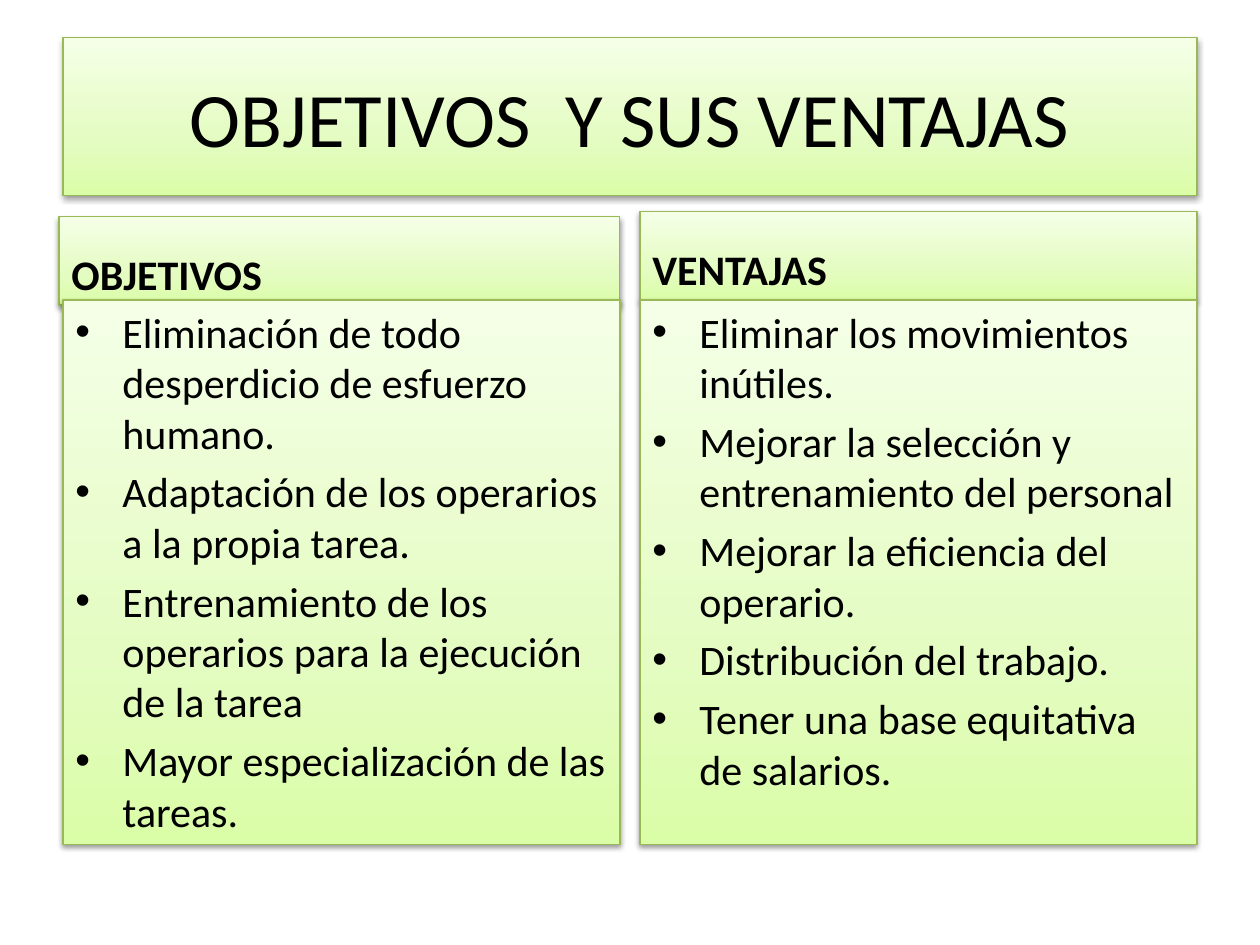
from dataclasses import dataclass

import lxml.etree
import pptx
import pptx.dml.color
import pptx.enum.shapes
import pptx.enum.text
import pptx.oxml.ns
import pptx.util
from pptx.util import Cm, Pt


@dataclass(frozen=True)
class Theme:
    font: str = "Calibri"
    ink: str = "000000"
    border: str = "98B955"
    gradient: tuple = ((0, "DAFDA7"), (35, "E4FCC2"), (100, "F5FFE7"))
    title_size: int = 44
    text_size: int = 24


THEME = Theme()
ANCHOR = pptx.enum.text.MSO_ANCHOR
ALIGN = pptx.enum.text.PP_ALIGN

COLUMN_WIDTH = 11.23
BODY_TOP = 6.05
BODY_HEIGHT = 10.97
HEADING_HEIGHT = 1.78
BULLET_INDENT = Cm(0.95)

OBJECTIVES = (
    "Eliminación de todo desperdicio de esfuerzo humano.",
    "Adaptación de los operarios a la propia tarea.",
    "Entrenamiento de los operarios para la ejecución de la tarea",
    "Mayor especialización de las tareas.",
)
ADVANTAGES = (
    "Eliminar los movimientos inútiles.",
    "Mejorar la selección y entrenamiento del personal",
    "Mejorar la eficiencia del operario.",
    "Distribución del trabajo.",
    "Tener una base equitativa de salarios.",
)


def rgb(value):
    return pptx.dml.color.RGBColor.from_string(value)


def add_element(parent, tag, **attributes):
    element = lxml.etree.SubElement(parent, pptx.oxml.ns.qn(tag))
    for name, value in attributes.items():
        element.set(name, str(value))
    return element


def style_panel(panel):
    """Give a panel the green gradient, thin border and soft shadow."""
    panel.fill.gradient()
    panel.fill.gradient_angle = 90
    properties = panel.element.spPr
    stops = properties.find(".//" + pptx.oxml.ns.qn("a:gsLst"))
    for stop in list(stops):
        stops.remove(stop)
    for percent, color in THEME.gradient:
        stop = add_element(stops, "a:gs", pos=percent * 1000)
        add_element(stop, "a:srgbClr", val=color)

    panel.line.color.rgb = rgb(THEME.border)
    panel.line.width = Pt(0.75)

    panel.shadow.inherit = False
    effects = properties.find(pptx.oxml.ns.qn("a:effectLst"))
    shadow = add_element(effects, "a:outerShdw", blurRad=Pt(3.1), dist=Pt(1.6),
                         dir=5400000, rotWithShape=0)
    shadow_color = add_element(shadow, "a:srgbClr", val="000000")
    add_element(shadow_color, "a:alpha", val=38000)


def format_paragraph(paragraph, size, alignment=ALIGN.LEFT, bold=False):
    paragraph.alignment = alignment
    for run in paragraph.runs:
        run.font.name = THEME.font
        run.font.size = Pt(size)
        run.font.bold = bold
        run.font.color.rgb = rgb(THEME.ink)


def add_bullet(paragraph):
    properties = paragraph._p.get_or_add_pPr()
    properties.set("marL", str(BULLET_INDENT))
    properties.set("indent", str(-BULLET_INDENT))
    add_element(properties, "a:buFont", typeface="Arial")
    add_element(properties, "a:buChar", char="•")


def set_title(slide, text):
    title = slide.shapes.title
    title.left, title.top = Cm(1.27), Cm(0.76)
    title.width, title.height = Cm(22.86), Cm(3.18)
    style_panel(title)
    title.text_frame.text = text
    title.text_frame.vertical_anchor = ANCHOR.MIDDLE
    format_paragraph(title.text_frame.paragraphs[0], THEME.title_size, ALIGN.CENTER)


def add_panel(slide, left, top, width, height, anchor):
    panel = slide.shapes.add_shape(pptx.enum.shapes.MSO_SHAPE.RECTANGLE,
                                   Cm(left), Cm(top), Cm(width), Cm(height))
    style_panel(panel)
    panel.text_frame.word_wrap = True
    panel.text_frame.vertical_anchor = anchor
    return panel.text_frame


def add_heading(slide, text, left, top, width):
    heading = add_panel(slide, left, top, width, HEADING_HEIGHT, ANCHOR.BOTTOM)
    heading.text = text
    format_paragraph(heading.paragraphs[0], THEME.text_size, bold=True)


def add_bullet_list(slide, items, left):
    body = add_panel(slide, left, BODY_TOP, COLUMN_WIDTH, BODY_HEIGHT, ANCHOR.TOP)
    body.text = "\n".join(items)
    for position, paragraph in enumerate(body.paragraphs):
        if position:
            paragraph.space_before = Pt(0.2 * THEME.text_size)
        add_bullet(paragraph)
        format_paragraph(paragraph, THEME.text_size)


def main():
    presentation = pptx.Presentation()
    presentation.slide_width, presentation.slide_height = Cm(25.4), Cm(19.05)
    slide = presentation.slides.add_slide(presentation.slide_layouts[5])

    set_title(slide, "OBJETIVOS  Y SUS VENTAJAS")
    add_heading(slide, "OBJETIVOS", 1.19, 4.37, 11.3)
    add_bullet_list(slide, OBJECTIVES, 1.27)
    add_heading(slide, "VENTAJAS", 12.9, BODY_TOP - HEADING_HEIGHT, COLUMN_WIDTH)
    add_bullet_list(slide, ADVANTAGES, 12.9)

    presentation.save("out.pptx")


if __name__ == "__main__":
    main()
